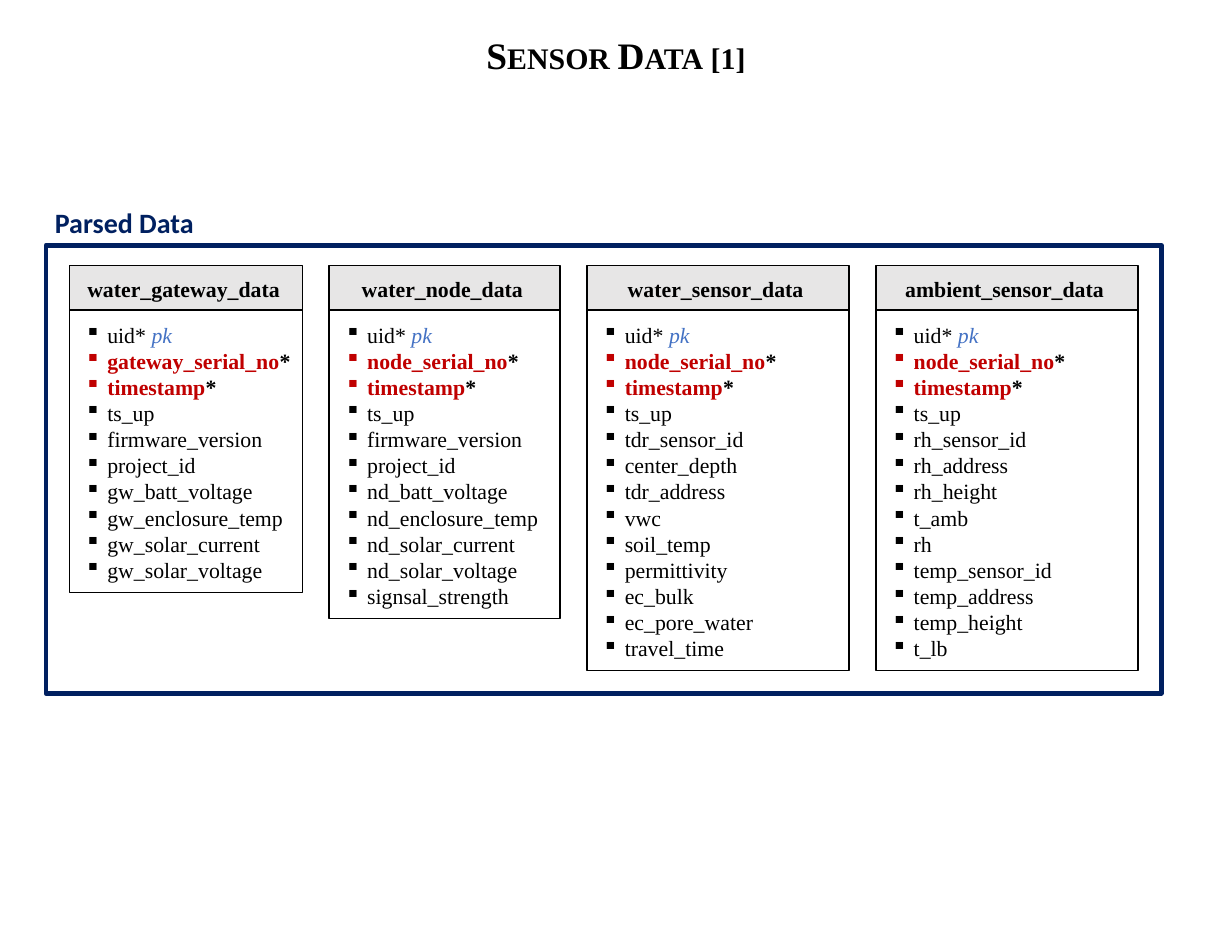
from dataclasses import dataclass

from lxml import etree
from pptx import Presentation
from pptx import util as u
from pptx.dml.color import RGBColor
from pptx.enum import shapes, text
from pptx.oxml.ns import qn


@dataclass(frozen=True)
class Theme:
    serif: str = "Times New Roman"
    sans: str = "Calibri"
    black: str = "000000"
    white: str = "FFFFFF"
    header: str = "E7E6E6"
    navy: str = "002060"
    red: str = "C00000"
    blue: str = "4472C4"
    title_size: int = 24
    label_size: int = 18
    body_size: int = 14


T = Theme()

# Grid in inches: table columns share a top, a gap and a row pitch
LEFT, TOP, GAP = 0.62, 2.37, 0.24
HEADER_H, ROW_H, BODY_PAD = 0.4, 0.233, 0.19
INDENT = 0.2

# Table name, column width, key field, remaining fields
TABLES = [
    ("water_gateway_data", 2.08, "gateway_serial_no",
     "ts_up firmware_version project_id gw_batt_voltage gw_enclosure_temp "
     "gw_solar_current gw_solar_voltage"),
    ("water_node_data", 2.06, "node_serial_no",
     "ts_up firmware_version project_id nd_batt_voltage nd_enclosure_temp "
     "nd_solar_current nd_solar_voltage signsal_strength"),
    ("water_sensor_data", 2.34, "node_serial_no",
     "ts_up tdr_sensor_id center_depth tdr_address vwc soil_temp "
     "permittivity ec_bulk ec_pore_water travel_time"),
    ("ambient_sensor_data", 2.34, "node_serial_no",
     "ts_up rh_sensor_id rh_address rh_height t_amb rh temp_sensor_id "
     "temp_address temp_height t_lb"),
]


def inches(*lengths):
    return [u.Inches(v) for v in lengths]


def style(font, size, color, name=T.serif, bold=False):
    font.size, font.name, font.bold = u.Pt(size), name, bold
    font.color.rgb = RGBColor.from_string(color)


def add_box(parent, at, fill, line, width):
    sp = parent.add_shape(shapes.MSO_SHAPE.RECTANGLE, *inches(*at))
    sp.shadow.inherit = False
    if fill:
        sp.fill.solid()
        sp.fill.fore_color.rgb = RGBColor.from_string(fill)
    else:
        sp.fill.background()
    sp.line.color.rgb = RGBColor.from_string(line)
    sp.line.width = u.Pt(width)


def add_text(parent, at):
    tf = parent.add_textbox(*inches(*at)).text_frame
    tf.word_wrap = True
    return tf


def add_run(p, words, color=None, italic=None):
    r = p.add_run()
    r.text = words
    r.font.italic = italic
    if color:
        r.font.color.rgb = RGBColor.from_string(color)


def add_bullet(p):
    pPr = p._p.get_or_add_pPr()
    pPr.set("marL", str(u.Inches(INDENT)))
    pPr.set("indent", str(-u.Inches(INDENT)))
    bullet = etree.Element(qn("a:buChar"))
    bullet.set("char", "▪")
    pPr.insert(0, bullet)


def add_fields(tf, key, fields):
    rows = [[("uid* ",), ("pk", T.blue, True)]]
    rows += [[(name, T.red), ("*", T.black)] for name in (key, "timestamp")]
    rows += [[(name,)] for name in fields]
    for i, runs in enumerate(rows):
        p = tf.add_paragraph() if i else tf.paragraphs[0]
        style(p.font, T.body_size, T.black, bold=i in (1, 2))
        add_bullet(p)
        for run in runs:
            add_run(p, *run)


def add_entity(s, x, name, w, key, fields):
    g = s.shapes.add_group_shape().shapes
    body_top = TOP + HEADER_H
    body_h = BODY_PAD + ROW_H * (len(fields) + 3)

    # Header
    add_box(g, (x, TOP, w, HEADER_H), T.header, T.black, 1)
    p = add_text(g, (x - 0.02, TOP + 0.04, w, 0.34)).paragraphs[0]
    p.text = name
    p.alignment = text.PP_ALIGN.CENTER
    style(p.font, T.body_size, T.black, bold=True)

    # Field list
    add_box(g, (x, body_top, w, body_h), T.white, T.black, 1)
    tf = add_text(g, (x + 0.04, body_top + 0.05, w - 0.05, body_h - 0.06))
    tf.margin_right = 0
    add_fields(tf, key, fields)


def add_title(s, words):
    sp = s.shapes.title
    sp.left, sp.top, sp.width, sp.height = inches(0, 0.24, 11, 0.5)
    tf = sp.text_frame
    tf.auto_size = text.MSO_AUTO_SIZE.NONE
    tf.vertical_anchor = text.MSO_ANCHOR.MIDDLE
    p = tf.paragraphs[0]
    p.text = words
    p.alignment = text.PP_ALIGN.CENTER
    style(p.font, T.title_size, T.black, bold=True)
    p.runs[0].font._element.set("cap", "small")


def add_frame(s, label):
    add_box(s.shapes, (0.41, 2.19, 9.96, 4), None, T.navy, 3)
    tf = add_text(s.shapes, (0.34, 1.79, 1.85, 0.4))
    tf.margin_left = u.Inches(0.15)
    p = tf.paragraphs[0]
    p.text = label
    style(p.font, T.label_size, T.navy, T.sans, bold=True)


def main():
    prs = Presentation()
    prs.slide_width, prs.slide_height = inches(11, 8.5)
    s = prs.slides.add_slide(prs.slide_layouts[5])
    add_title(s, "Sensor Data [1]")

    # Tables side by side, inside the frame
    x = LEFT
    for name, w, key, fields in TABLES:
        add_entity(s, x, name, w, key, fields.split())
        x += w + GAP
    add_frame(s, "Parsed Data")
    prs.save("out.pptx")


if __name__ == "__main__":
    main()
